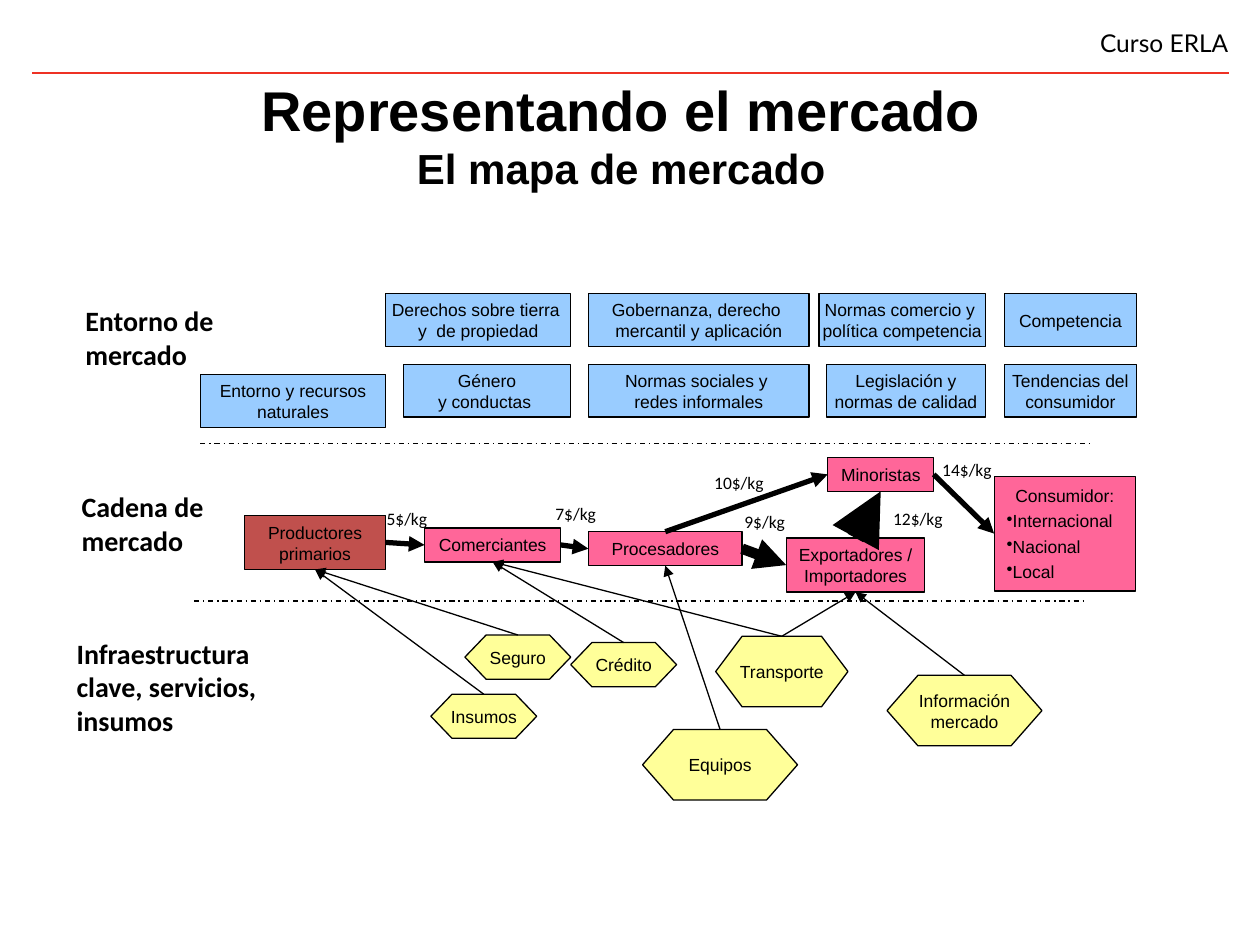
from dataclasses import dataclass

from lxml import etree
from pptx import Presentation
from pptx.dml.color import RGBColor
from pptx.enum.dml import MSO_LINE
from pptx.enum.shapes import MSO_CONNECTOR, MSO_SHAPE
from pptx.enum.text import MSO_ANCHOR, MSO_AUTO_SIZE, PP_ALIGN
from pptx.oxml.ns import qn
from pptx.util import Inches, Pt

STRAIGHT = MSO_CONNECTOR.STRAIGHT
RECTANGLE = MSO_SHAPE.RECTANGLE
PROCESS = MSO_SHAPE.FLOWCHART_PROCESS
HEXAGON = MSO_SHAPE.FLOWCHART_PREPARATION
DASH_DOT = MSO_LINE.DASH_DOT
TOP, MIDDLE = MSO_ANCHOR.TOP, MSO_ANCHOR.MIDDLE
GROW, FIXED = MSO_AUTO_SIZE.SHAPE_TO_FIT_TEXT, MSO_AUTO_SIZE.NONE
LEFT, CENTER, RIGHT = PP_ALIGN.LEFT, PP_ALIGN.CENTER, PP_ALIGN.RIGHT
SITE_TOP, SITE_LEFT, SITE_BOTTOM, SITE_RIGHT = range(4)


@dataclass(frozen=True)
class Theme:
    ink: RGBColor = RGBColor.from_string("000000")
    rule: RGBColor = RGBColor.from_string("EE3124")
    environment: RGBColor = RGBColor.from_string("99CCFF")
    producer: RGBColor = RGBColor.from_string("C0504D")
    chain: RGBColor = RGBColor.from_string("FF6699")
    service: RGBColor = RGBColor.from_string("FFFF99")
    body_font: str = "Arial"
    label_font: str = "Calibri"
    header_font: str = "Lato"
    title: int = 32
    subtitle: int = 24
    section: int = 16
    header: int = 14
    body: int = 10
    thin: float = 0.75


THEME = Theme()

ENVIRONMENT = [
    (3.06, 2.33, 1.47, ["Derechos sobre tierra ", "y  de propiedad"]),
    (4.67, 2.33, 1.75, ["Gobernanza, derecho ", "mercantil y aplicación"]),
    (6.5, 2.33, 1.32, ["Normas comercio y ", "política competencia"]),
    (7.97, 2.33, 1.05, ["Competencia"]),
    (1.59, 2.97, 1.47, ["Entorno y recursos", "naturales"]),
    (3.2, 2.89, 1.33, ["Género", "y conductas "]),
    (4.67, 2.89, 1.75, ["Normas sociales y ", "redes informales"]),
    (6.56, 2.89, 1.26, [" Legislación y ", "normas de calidad"]),
    (7.97, 2.89, 1.05, ["Tendencias del", "consumidor"]),
]
CHAIN = {
    "productores": (1.94, 4.09, 1.12, 0.43, "Productores primarios"),
    "comerciantes": (3.37, 4.19, 1.08, 0.27, "Comerciantes"),
    "procesadores": (4.67, 4.22, 1.22, 0.27, "Procesadores"),
    "exportadores": (6.24, 4.27, 1.1, 0.43, "Exportadores / Importadores"),
    "minoristas": (6.57, 3.63, 0.84, 0.27, "Minoristas"),
}
CONSUMERS = ["Internacional", "Nacional", "Local"]
SERVICES = {
    "seguro": (3.69, 5.04, 0.84, 0.35, ["Seguro"]),
    "crédito": (4.53, 5.1, 0.84, 0.35, ["Crédito"]),
    "insumos": (3.42, 5.51, 0.84, 0.35, ["Insumos"]),
    "equipos": (5.1, 5.79, 1.23, 0.56, ["Equipos"]),
    "transporte": (5.68, 5.05, 1.05, 0.56, ["Transporte"]),
    "información": (7.04, 5.36, 1.23, 0.56, ["Información", "mercado"]),
}
SALES = [
    ("productores", SITE_RIGHT, "comerciantes", SITE_LEFT, 3),
    ("comerciantes", SITE_RIGHT, "procesadores", SITE_LEFT, 3),
    ("procesadores", SITE_RIGHT, "exportadores", SITE_LEFT, 6),
    ("exportadores", SITE_TOP, "minoristas", SITE_BOTTOM, 10),
    ("minoristas", SITE_RIGHT, "consumidor", SITE_LEFT, 3),
    ("procesadores", SITE_TOP, "minoristas", SITE_LEFT, 3),
]
SUPPORT = [
    ("insumos", "productores"), ("seguro", "productores"),
    ("crédito", "comerciantes"), ("transporte", "comerciantes"),
    ("equipos", "procesadores"), ("transporte", "exportadores"),
    ("información", "exportadores"),
]
SECTIONS = [
    (0.58, 2.36, 1.66, 0.64, "Entorno de mercado"),
    (0.55, 3.84, 1.22, 0.64, "Cadena de mercado"),
    (0.51, 5, 2.13, 0.91, "Infraestructura clave, servicios, insumos"),
]
PRICES = [
    (2.97, 3.98, 0.53, "5$/kg"), (4.31, 3.94, 0.53, "7$/kg"),
    (5.57, 3.7, 0.6, "10$/kg"), (5.81, 4.01, 0.53, "9$/kg"),
    (6.99, 3.98, 0.6, "12$/kg"), (7.38, 3.59, 0.6, "14$/kg"),
]


def apply_format(target, values):
    for name, value in values.items():
        setattr(target, name, value)


def style_font(font, size, family, bold=False):
    apply_format(font, {"size": Pt(size), "name": family, "bold": bold})
    font.color.rgb = THEME.ink


def write(frame, lines, size, family, align=LEFT, bold=False, **frame_format):
    apply_format(frame, frame_format)
    for index, line in enumerate(lines):
        paragraph = frame.add_paragraph() if index else frame.paragraphs[0]
        paragraph.alignment = align
        run = paragraph.add_run()
        run.text = line
        style_font(run.font, size, family, bold)


def add_label(slide, box, text, size, family, **text_format):
    label = slide.shapes.add_textbox(*map(Inches, box))
    write(label.text_frame, [text], size, family, **text_format)


def add_node(slide, geometry, box, fill, lines, **frame_format):
    node = slide.shapes.add_shape(geometry, *map(Inches, box))
    node.shadow.inherit = False
    node.fill.solid()
    node.fill.fore_color.rgb = fill
    node.line.color.rgb = THEME.ink
    node.line.width = Pt(THEME.thin)
    write(node.text_frame, lines, THEME.body, THEME.body_font, CENTER, **frame_format)
    return node


def add_line(slide, start, end, color, width, dash=None):
    line = slide.shapes.add_connector(STRAIGHT, *map(Inches, (*start, *end)))
    line.line.color.rgb = color
    line.line.width = Pt(width)
    if dash:
        line.line.dash_style = dash
    etree.SubElement(line._element.spPr, qn("a:effectLst"))
    return line


def add_arrow(slide, source, source_site, target, target_site, width):
    arrow = add_line(slide, (0, 0), (0, 0), THEME.ink, width)
    arrow.begin_connect(source, source_site)
    arrow.end_connect(target, target_site)
    etree.SubElement(arrow.line._get_or_add_ln(), qn("a:tailEnd"), type="triangle")


def add_consumer(slide):
    consumer = add_node(slide, RECTANGLE, (7.89, 3.78, 1.12, 0.91), THEME.chain,
                        ["Consumidor:", *CONSUMERS], vertical_anchor=MIDDLE, word_wrap=True)
    for paragraph in consumer.text_frame.paragraphs[1:]:
        apply_format(paragraph, {"alignment": LEFT, "space_before": Pt(2.5)})
        properties = paragraph._p.get_or_add_pPr()
        properties.set("marL", "0")
        properties.set("indent", "0")
        etree.SubElement(properties, qn("a:buChar"), char="•")
    return consumer


def add_heading(slide):
    add_line(slide, (9.75, 0.58), (0.25, 0.58), THEME.rule, 1.5)
    add_label(slide, (4.5, 0.17, 5.25, 0.33), "Curso ERLA", THEME.header, THEME.header_font,
              align=RIGHT, margin_left=0, margin_right=0, word_wrap=True, auto_size=GROW)
    title = slide.shapes.add_textbox(*map(Inches, (0.43, 0.44, 9, 1.25))).text_frame
    write(title, ["Representando el mercado"], THEME.title, THEME.body_font, CENTER, True,
          word_wrap=True, vertical_anchor=MIDDLE, auto_size=FIXED)
    heading = title.paragraphs[0]
    heading.add_line_break()
    subtitle = heading.add_run()
    subtitle.text = "El mapa de mercado"
    style_font(subtitle.font, THEME.subtitle, THEME.body_font, True)


def add_market_map(slide):
    for left, top, width, lines in ENVIRONMENT:
        add_node(slide, PROCESS, (left, top, width, 0.42), THEME.environment, lines,
                 vertical_anchor=MIDDLE, word_wrap=False)
    for left, top in ((1.59, 3.52), (1.54, 4.77)):
        add_line(slide, (left, top), (left + 7.08, top), THEME.ink, THEME.thin, DASH_DOT)

    actors = {"consumidor": add_consumer(slide)}
    for key, (*box, name) in CHAIN.items():
        fill = THEME.producer if key == "productores" else THEME.chain
        actors[key] = add_node(slide, RECTANGLE, box, fill, [name],
                               vertical_anchor=TOP, word_wrap=True, auto_size=GROW)
    for key, (*box, lines) in SERVICES.items():
        actors[key] = add_node(slide, HEXAGON, box, THEME.service, lines,
                               vertical_anchor=MIDDLE, word_wrap=False)

    for seller, seller_site, buyer, buyer_site, width in SALES:
        add_arrow(slide, actors[seller], seller_site, actors[buyer], buyer_site, width)
    for service, actor in SUPPORT:
        add_arrow(slide, actors[service], SITE_TOP, actors[actor], SITE_BOTTOM, THEME.thin)


def main():
    deck = Presentation()
    apply_format(deck, {"slide_width": Inches(10), "slide_height": Inches(7.5)})
    slide = deck.slides.add_slide(deck.slide_layouts[6])
    add_heading(slide)
    add_market_map(slide)
    for *box, name in SECTIONS:
        add_label(slide, box, name, THEME.section, THEME.label_font,
                  bold=True, word_wrap=True, auto_size=GROW)
    for left, top, width, price in PRICES:
        add_label(slide, (left, top, width, 0.27), price, THEME.body, THEME.label_font,
                  word_wrap=False, auto_size=GROW)
    deck.save("out.pptx")


if __name__ == "__main__":
    main()
